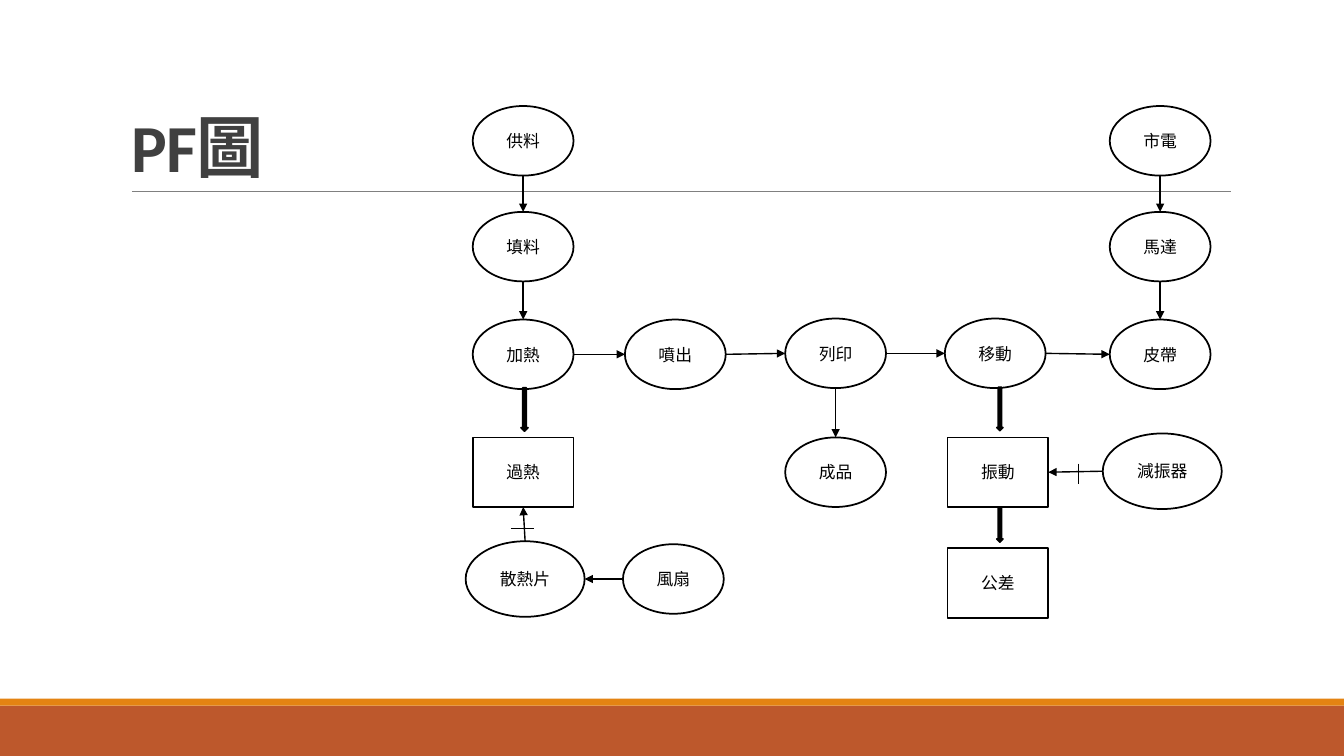
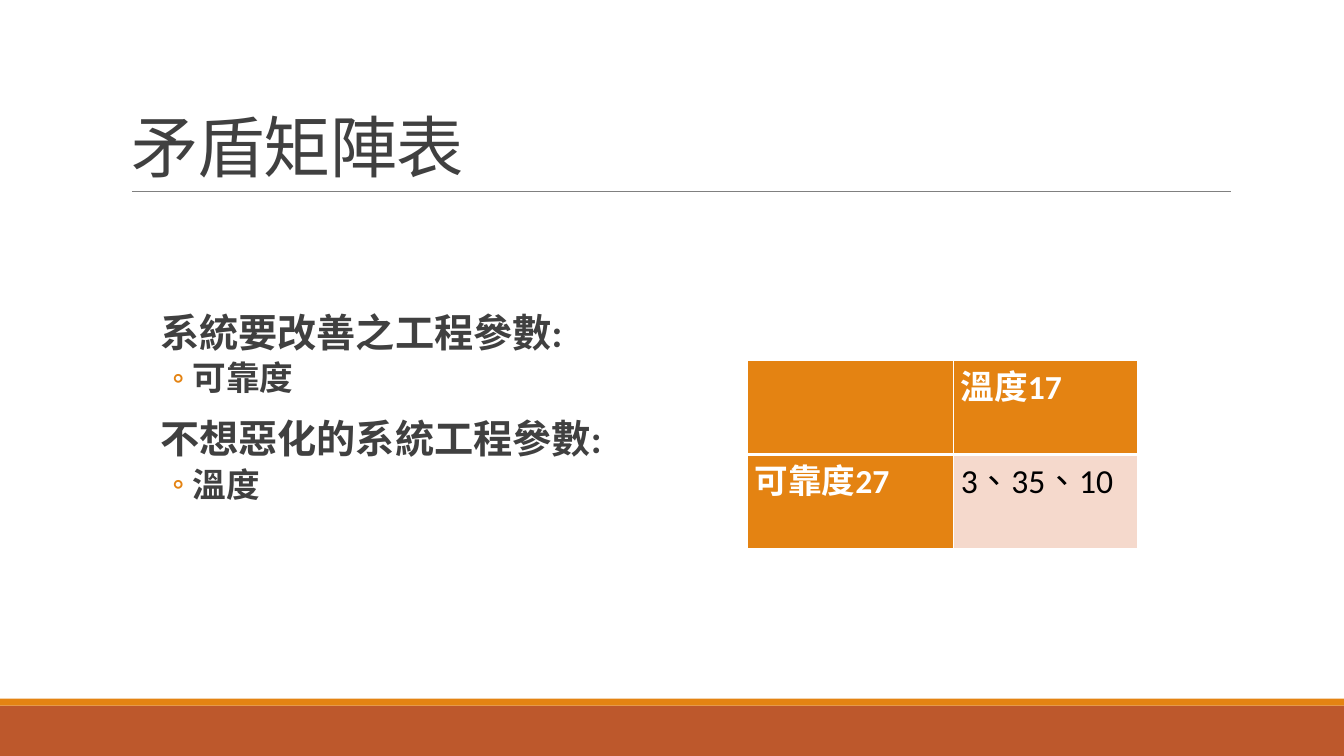
from dataclasses import dataclass

from lxml.etree import SubElement
from pptx import Presentation
from pptx.dml.color import RGBColor
from pptx.enum.shapes import MSO_CONNECTOR, MSO_SHAPE
from pptx.enum.text import MSO_ANCHOR, MSO_AUTO_SIZE, PP_ALIGN
from pptx.oxml.ns import qn
from pptx.util import Pt

OVAL = MSO_SHAPE.OVAL
RECTANGLE = MSO_SHAPE.RECTANGLE
DOWN_ARROW = MSO_SHAPE.DOWN_ARROW
STRAIGHT = MSO_CONNECTOR.STRAIGHT
TOP, LEFT, BOTTOM, RIGHT = range(4)
SIDE_FRACTIONS = {TOP: (0.5, 0), LEFT: (0, 0.5), BOTTOM: (0.5, 1), RIGHT: (1, 0.5)}
ANCHOR_TOP = MSO_ANCHOR.TOP
ANCHOR_MIDDLE = MSO_ANCHOR.MIDDLE
ANCHOR_BOTTOM = MSO_ANCHOR.BOTTOM
NO_AUTOFIT = MSO_AUTO_SIZE.NONE
ALIGN_LEFT = PP_ALIGN.LEFT
ALIGN_CENTER = PP_ALIGN.CENTER


@dataclass(frozen=True)
class Theme:
    """Colours, fonts and type sizes of the presentation."""

    orange: RGBColor = RGBColor(0xE4, 0x83, 0x12)
    rust: RGBColor = RGBColor(0xBD, 0x58, 0x2C)
    blush: RGBColor = RGBColor(0xF5, 0xD9, 0xCC)
    text: RGBColor = RGBColor(0x40, 0x40, 0x40)
    rule: RGBColor = RGBColor(0x80, 0x80, 0x80)
    black: RGBColor = RGBColor(0, 0, 0)
    white: RGBColor = RGBColor(0xFF, 0xFF, 0xFF)
    latin: str = "Calibri"
    asian: str = "Noto Sans CJK TC"
    title_size: float = 48
    heading_size: float = 28
    item_size: float = 24
    node_size: float = 12


THEME = Theme()
WIDTH, HEIGHT = 960, 540

NODE_SIZE = (72, 49.7)
WIDE_SIZE = (85, 54)
NODES = {
    "供料": (OVAL, 41.1, 25, NODE_SIZE),
    "填料": (OVAL, 41.1, 100.6, NODE_SIZE),
    "加熱": (OVAL, 41.1, 177.5, NODE_SIZE),
    "噴出": (OVAL, 149.8, 177.5, NODE_SIZE),
    "列印": (OVAL, 264.3, 176.8, NODE_SIZE),
    "成品": (OVAL, 264.3, 261.7, NODE_SIZE),
    "移動": (OVAL, 378.3, 176.8, NODE_SIZE),
    "皮帶": (OVAL, 496.1, 177.5, NODE_SIZE),
    "馬達": (OVAL, 496.1, 100.6, NODE_SIZE),
    "市電": (OVAL, 496.1, 25, NODE_SIZE),
    "散熱片": (OVAL, 42.5, 338, WIDE_SIZE),
    "風扇": (OVAL, 148.4, 338, NODE_SIZE),
    "減振器": (OVAL, 497.6, 261, WIDE_SIZE),
    "過熱": (RECTANGLE, 41.1, 261.7, NODE_SIZE),
    "振動": (RECTANGLE, 380.2, 261.7, NODE_SIZE),
    "公差": (RECTANGLE, 380.2, 340.9, NODE_SIZE),
}
LINKS = [
    ("供料", BOTTOM, "填料", TOP),
    ("填料", BOTTOM, "加熱", TOP),
    ("加熱", RIGHT, "噴出", LEFT),
    ("噴出", RIGHT, "列印", LEFT),
    ("列印", RIGHT, "移動", LEFT),
    ("列印", BOTTOM, "成品", TOP),
    ("移動", RIGHT, "皮帶", LEFT),
    ("市電", BOTTOM, "馬達", TOP),
    ("馬達", BOTTOM, "皮帶", TOP),
    ("風扇", LEFT, "散熱片", RIGHT),
    ("散熱片", TOP, "過熱", BOTTOM),
    ("減振器", LEFT, "振動", RIGHT),
]
HARM_ARROWS = [(39.6, 201.4, 5, 31), (379.4, 201, 4.4, 31), (379.4, 286.6, 4.4, 25)]
CROSSBARS = [(32.4, 301.7, 49, 301.7), (437.8, 255.6, 437.8, 270)]

PARAMETERS = [
    (0, "系統要改善之工程參數:"),
    (1, "可靠度"),
    (0, "不想惡化的系統工程參數:"),
    (1, "溫度"),
]
LEVELS = [
    {"margin": 7.2, "indent": -7.2, "before": 12, "after": 2,
     "bullet": " ", "size": THEME.heading_size},
    {"margin": 30.2, "indent": -14.4, "before": 2, "after": 4,
     "bullet": "◦", "size": THEME.item_size},
]
MATRIX = [["", "溫度17"], ["可靠度27", "3、35、10"]]


def set_values(target, values):
    """Set each attribute named in a dict of format values."""
    for name, value in values.items():
        setattr(target, name, value)


def place(shape, box):
    """Move a shape to a left, top, width, height box in points."""
    set_values(shape, dict(zip(("left", "top", "width", "height"), map(Pt, box))))


def margins(horizontal, vertical):
    """Return the margin values shared by text frames and cells."""
    return {"margin_left": Pt(horizontal), "margin_right": Pt(horizontal),
            "margin_top": Pt(vertical), "margin_bottom": Pt(vertical)}


def write(paragraph, text, size, color, bold=False, latin=THEME.latin):
    """Add one formatted run to a paragraph and return its properties."""
    run = paragraph.add_run()
    run.text = text
    set_values(run.font, {"size": Pt(size), "bold": bold, "name": latin})
    run.font.color.rgb = color
    properties = run._r.get_or_add_rPr()
    SubElement(properties, qn("a:ea"), typeface=THEME.asian)
    return properties


def add_block(slide, kind, box, fill=None, line=None):
    """Add a flat preset shape with an optional fill and outline."""
    shape = slide.shapes.add_shape(kind, *map(Pt, box))
    shape.shadow.inherit = False
    if fill is None:
        shape.fill.background()
    else:
        shape.fill.solid()
        shape.fill.fore_color.rgb = fill
    if line is None:
        shape.line.fill.background()
    else:
        shape.line.color.rgb = line
        shape.line.width = Pt(1.25)
    return shape


def add_line(slide, ends, color=THEME.black, width=1, arrow=False):
    """Add a straight line, given its ends in English Metric Units."""
    connector = slide.shapes.add_connector(STRAIGHT, *ends)
    connector.line.color.rgb = color
    connector.line.width = Pt(width)
    properties = connector.element.spPr
    if arrow:
        SubElement(properties.find(qn("a:ln")), qn("a:tailEnd"), type="triangle")
    SubElement(properties, qn("a:effectLst"))
    return connector


def add_master_parts(presentation, slide):
    """Build the bands and title rule and move them to the slide master."""
    parts = [
        add_block(slide, RECTANGLE, (0, 504, WIDTH, 36), THEME.rust),
        add_block(slide, RECTANGLE, (0, 499, WIDTH, 5), THEME.orange),
        add_line(slide, map(Pt, (94.3, 136.6, 879, 136.6)), THEME.rule, 0.5),
    ]
    tree = presentation.slide_master.shapes.element
    for number, part in enumerate(parts, 101):
        part.element.xpath(".//p:cNvPr")[0].set("id", str(number))
        tree.append(part.element)


def set_title(slide, text, box, bold=False):
    """Place and fill the title placeholder."""
    title = slide.shapes.title
    place(title, box)
    frame = title.text_frame
    set_values(frame, {"vertical_anchor": ANCHOR_BOTTOM, "word_wrap": True,
                       "auto_size": NO_AUTOFIT, **margins(7.2, 3.6)})
    paragraph = frame.paragraphs[0]
    set_values(paragraph, {"alignment": ALIGN_LEFT, "line_spacing": 0.85})
    write(paragraph, text, THEME.title_size, THEME.text, bold).set("spc", "-50")


def add_node(slide, text, kind, box):
    """Add one labelled node of the flow diagram."""
    node = add_block(slide, kind, box, line=THEME.black)
    set_values(node.text_frame, {"vertical_anchor": ANCHOR_MIDDLE,
                                 "word_wrap": True, **margins(0, 0)})
    paragraph = node.text_frame.paragraphs[0]
    paragraph.alignment = ALIGN_CENTER
    write(paragraph, text, THEME.node_size, THEME.black, latin=THEME.asian)
    return node


def side_point(shape, side):
    """Return the middle of one side of a shape."""
    across, down = SIDE_FRACTIONS[side]
    return (int(shape.left + across * shape.width),
            int(shape.top + down * shape.height))


def link(slide, source, source_side, target, target_side):
    """Draw an arrow between the sides of two nodes."""
    ends = side_point(source, source_side) + side_point(target, target_side)
    connector = add_line(slide, ends, arrow=True)
    if target.auto_shape_type == RECTANGLE:
        connector.end_connect(target, target_side)


def add_flow(slide, left, top):
    """Draw the flow diagram from its top left corner."""
    nodes = {}
    for text, (kind, center, middle, (width, height)) in NODES.items():
        box = (left + center - width / 2, top + middle - height / 2, width, height)
        nodes[text] = add_node(slide, text, kind, box)
    for source, source_side, target, target_side in LINKS:
        link(slide, nodes[source], source_side, nodes[target], target_side)
    for x, y, width, height in HARM_ARROWS:
        add_block(slide, DOWN_ARROW, (left + x, top + y, width, height),
                  THEME.black, THEME.black)
    for x1, y1, x2, y2 in CROSSBARS:
        add_line(slide, map(Pt, (left + x1, top + y1, left + x2, top + y2)))


def fill_list(placeholder, box):
    """Fill the body placeholder with the two-level parameter list."""
    place(placeholder, box)
    frame = placeholder.text_frame
    set_values(frame, {"vertical_anchor": ANCHOR_TOP, "word_wrap": True,
                       "auto_size": NO_AUTOFIT, **margins(0, 3.6)})
    for index, (level, text) in enumerate(PARAMETERS):
        paragraph = frame.add_paragraph() if index else frame.paragraphs[0]
        style = LEVELS[level]
        set_values(paragraph, {"level": level, "line_spacing": 0.9,
                               "space_before": Pt(style["before"]),
                               "space_after": Pt(style["after"])})
        properties = paragraph._p.get_or_add_pPr()
        properties.set("marL", str(Pt(style["margin"])))
        properties.set("indent", str(Pt(style["indent"])))
        color = SubElement(properties, qn("a:buClr"))
        SubElement(color, qn("a:srgbClr"), val=str(THEME.orange))
        SubElement(properties, qn("a:buFont"), typeface=THEME.latin)
        SubElement(properties, qn("a:buChar"), char=style["bullet"])
        write(paragraph, text, style["size"], THEME.text, bold=True)


def add_borders(cell, widths):
    """Give a cell white borders of the widths in points."""
    properties = cell._tc.get_or_add_tcPr()
    for name, width in widths.items():
        border = SubElement(properties, qn(f"a:{name}"), w=str(Pt(width)))
        fill = SubElement(border, qn("a:solidFill"))
        SubElement(fill, qn("a:srgbClr"), val=str(THEME.white))


def add_matrix(slide, box):
    """Add the contradiction matrix as a table."""
    table = slide.shapes.add_table(2, 2, *map(Pt, box)).table
    for column, width in zip(table.columns, (147.3, 131.5)):
        column.width = Pt(width)
    for row, texts in enumerate(MATRIX):
        for column, text in enumerate(texts):
            cell = table.cell(row, column)
            set_values(cell, margins(5.2, 0))
            add_borders(cell, {"lnL": 1, "lnR": 1, "lnT": 3 if row else 1,
                               "lnB": 1 if row else 3})
            header = row == 0 or column == 0
            cell.fill.solid()
            cell.fill.fore_color.rgb = THEME.orange if header else THEME.blush
            if text:
                write(cell.text_frame.paragraphs[0], text, THEME.item_size,
                      THEME.white if header else THEME.black, header)


def build_flow_slide(presentation):
    """Build the slide with the flow diagram."""
    slide = presentation.slides.add_slide(presentation.slide_layouts[5])
    set_title(slide, "PF圖", (86.4, 22.3, 192, 114.5), bold=True)
    add_flow(slide, 332.6, 75.6)
    return slide


def build_matrix_slide(presentation):
    """Build the slide with the parameter list and the matrix."""
    slide = presentation.slides.add_slide(presentation.slide_layouts[1])
    set_title(slide, "矛盾矩陣表", (86.4, 22.3, 792, 114.5))
    fill_list(slide.placeholders[1], (107.3, 220.3, 815.8, 269.3))
    add_matrix(slide, (533.8, 257.4, 278.8, 134.6))


def main():
    """Build and save the presentation."""
    presentation = Presentation()
    set_values(presentation, {"slide_width": Pt(WIDTH), "slide_height": Pt(HEIGHT)})
    flow_slide = build_flow_slide(presentation)
    add_master_parts(presentation, flow_slide)
    build_matrix_slide(presentation)
    presentation.save("out.pptx")


if __name__ == "__main__":
    main()
